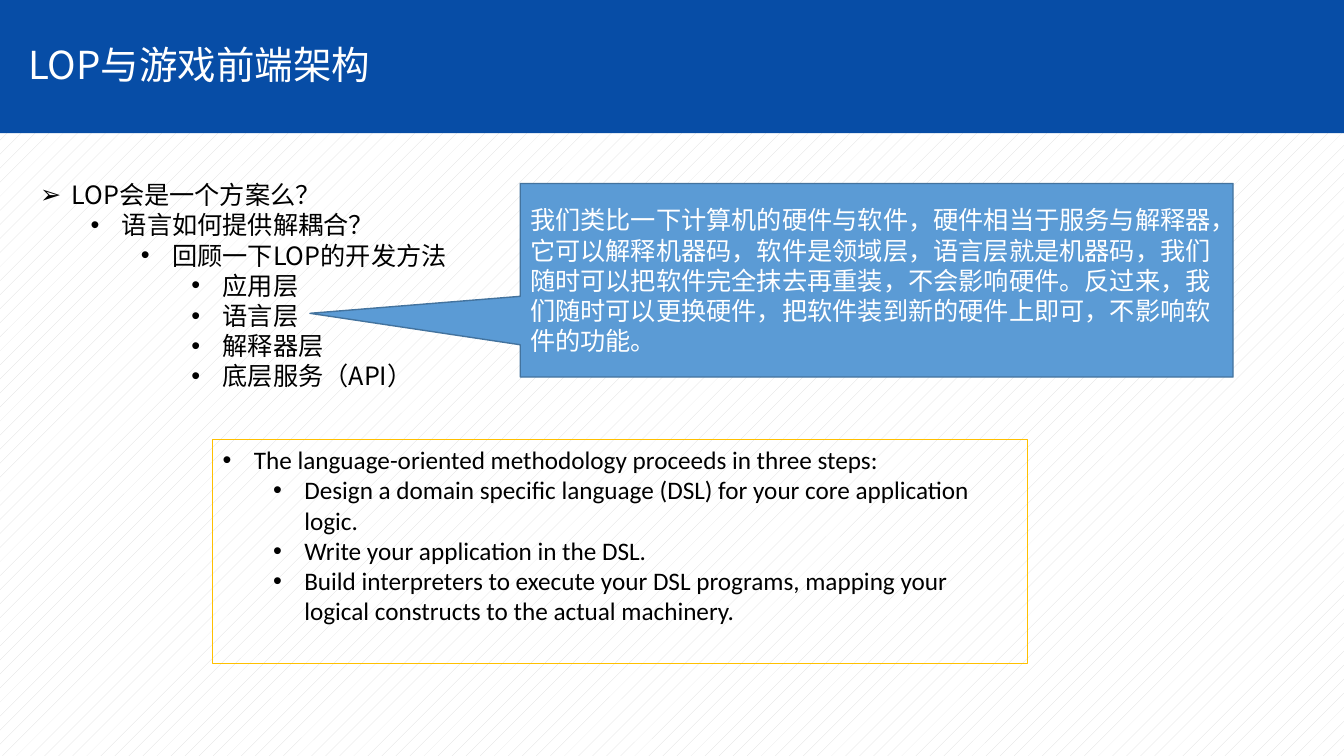
from lxml import etree
from pptx import Presentation
from pptx.dml.color import RGBColor
from pptx.enum.dml import MSO_PATTERN
from pptx.enum.shapes import MSO_SHAPE
from pptx.enum.text import MSO_ANCHOR, PP_ALIGN
from pptx.oxml.ns import qn
from pptx.util import Inches, Pt

BLUE = RGBColor(0x07, 0x4D, 0xA6)
SKY = RGBColor(0x5B, 0x9B, 0xD5)
STEEL = RGBColor(0x43, 0x73, 0x9E)
GOLD = RGBColor(0xFF, 0xC0, 0x00)
PALE = RGBColor(0xDB, 0xDB, 0xDB)
WHITE = RGBColor(0xFF, 0xFF, 0xFF)
BLACK = RGBColor(0x00, 0x00, 0x00)
CJK = "Noto Sans CJK SC"
LATIN = "Calibri"

OUTLINE = [
    (0, "LOP会是一个方案么？"),
    (1, "语言如何提供解耦合？"),
    (2, "回顾一下LOP的开发方法"),
    (3, "应用层"),
    (3, "语言层"),
    (3, "解释器层"),
    (3, "底层服务（API）"),
]
STEPS = [
    (0, "The language-oriented methodology proceeds in three steps:"),
    (1, "Design a domain specific language (DSL) for your core application logic."),
    (1, "Write your application in the DSL."),
    (1, "Build interpreters to execute your DSL programs, mapping your "
        "logical constructs to the actual machinery."),
]
ANALOGY = (
    "我们类比一下计算机的硬件与软件，硬件相当于服务与解释器，"
    "它可以解释机器码，软件是领域层，语言层就是机器码，"
    "我们随时可以把软件完全抹去再重装，不会影响硬件。"
    "反过来，我们随时可以更换硬件，把软件装到新的硬件上即可，不影响软件的功能。"
)


def add_box(slide, preset, box, fill=None, line=None, width=0.75):
    sp = slide.shapes.add_shape(preset, *map(Inches, box))
    sp.shadow.inherit = False
    if fill is None:
        sp.fill.background()
    else:
        sp.fill.solid()
        sp.fill.fore_color.rgb = fill
    if line is None:
        sp.line.fill.background()
    else:
        sp.line.color.rgb = line
        sp.line.width = Pt(width)
    return sp


def write(p, text, font, size, color):
    """Fill a paragraph, using one typeface for Latin and East Asian text."""
    p.text = text
    p.alignment = PP_ALIGN.LEFT
    for r in p.runs:
        r.font.name = font
        r.font.size = Pt(size)
        r.font.color.rgb = color
        ea = etree.Element(qn("a:ea"), typeface=font)
        r.font._element.find(qn("a:latin")).addnext(ea)


def set_bullet(p, level, char):
    p.level = level
    pPr = p._p.get_or_add_pPr()
    pPr.set("marL", str(Inches(0.31 + 0.5 * level)))
    pPr.set("indent", str(Inches(-0.31)))
    etree.SubElement(pPr, qn("a:buFont"), typeface="Arial")
    etree.SubElement(pPr, qn("a:buChar"), char=char)


def write_list(tf, items, font, top_bullet="•"):
    tf.word_wrap = True
    tf.vertical_anchor = MSO_ANCHOR.TOP
    for i, (level, text) in enumerate(items):
        p = tf.add_paragraph() if i else tf.paragraphs[0]
        set_bullet(p, level, "•" if level else top_bullet)
        write(p, text, font, 18, BLACK)


def add_text(slide, box):
    return slide.shapes.add_textbox(*map(Inches, box)).text_frame


def add_title(slide, text):
    add_box(slide, MSO_SHAPE.RECTANGLE, (0, 0, 13.33, 1.32), BLUE)
    tf = add_text(slide, (0.18, 0.14, 11.7, 1.06))
    tf.word_wrap = True
    tf.vertical_anchor = MSO_ANCHOR.MIDDLE
    p = tf.paragraphs[0]
    write(p, text, CJK, 27.5, WHITE)
    p.line_spacing = 0.9


def add_callout(slide, text):
    sp = add_box(slide, MSO_SHAPE.RECTANGULAR_CALLOUT,
                 (5.16, 1.82, 7.07, 1.92), SKY, STEEL, 1)
    sp.adjustments[0] = -0.795
    sp.adjustments[1] = 0.171
    tf = sp.text_frame
    tf.word_wrap = True
    tf.vertical_anchor = MSO_ANCHOR.MIDDLE
    write(tf.paragraphs[0], text, CJK, 18, WHITE)


def main():
    prs = Presentation()
    prs.slide_width, prs.slide_height = Inches(13.33), Inches(7.5)
    slide = prs.slides.add_slide(prs.slide_layouts[6])
    bg = slide.background.fill
    bg.patterned()
    bg.pattern = MSO_PATTERN.PERCENT_5
    bg.fore_color.rgb = PALE
    bg.back_color.rgb = WHITE

    add_title(slide, "LOP与游戏前端架构")
    write_list(add_text(slide, (0.3, 1.73, 12.39, 2.22)), OUTLINE, CJK, "➢")
    steps = add_box(slide, MSO_SHAPE.RECTANGLE, (2.11, 4.36, 8.08, 2.22), line=GOLD)
    write_list(steps.text_frame, STEPS, LATIN)
    add_callout(slide, ANALOGY)
    prs.save("out.pptx")


if __name__ == "__main__":
    main()
